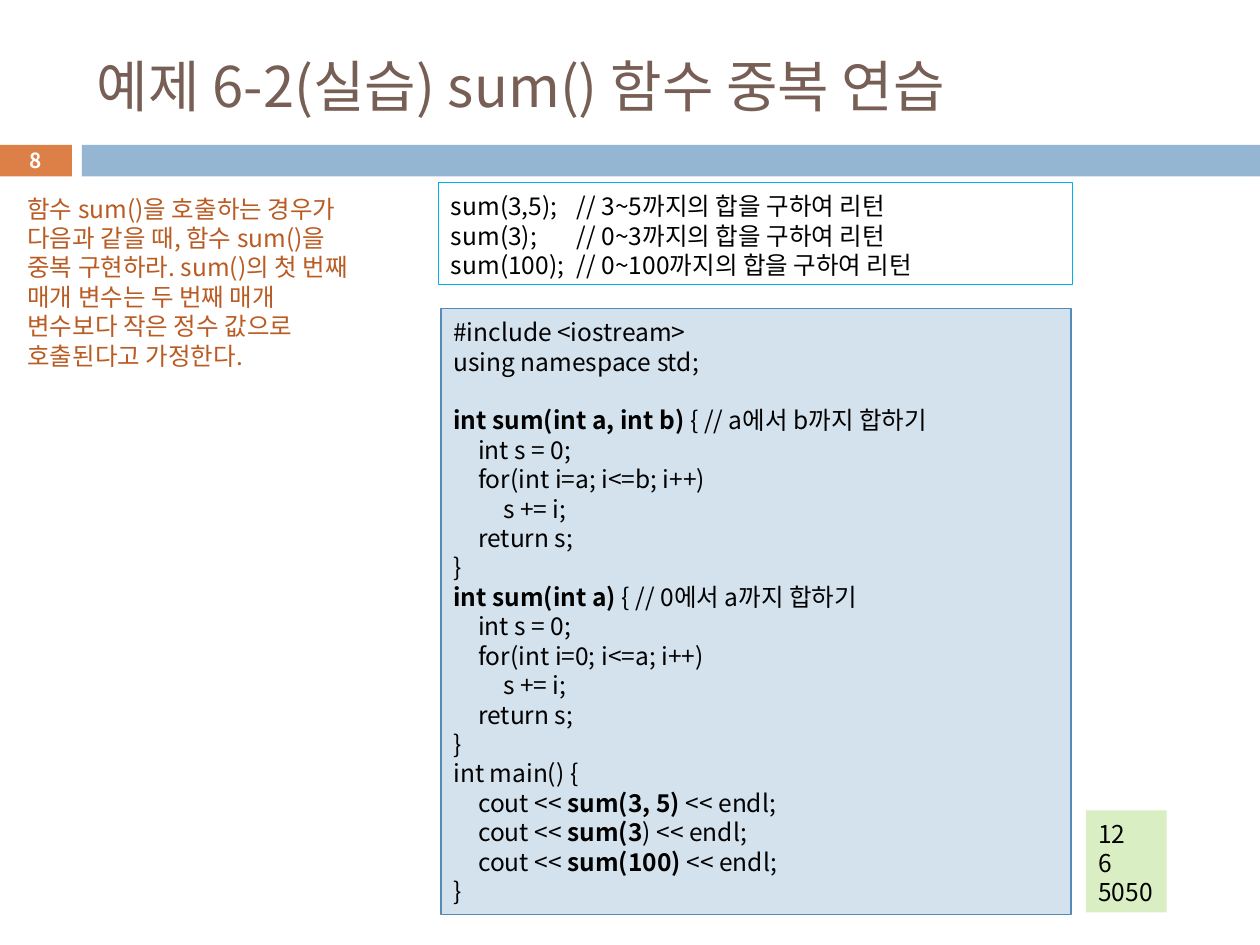
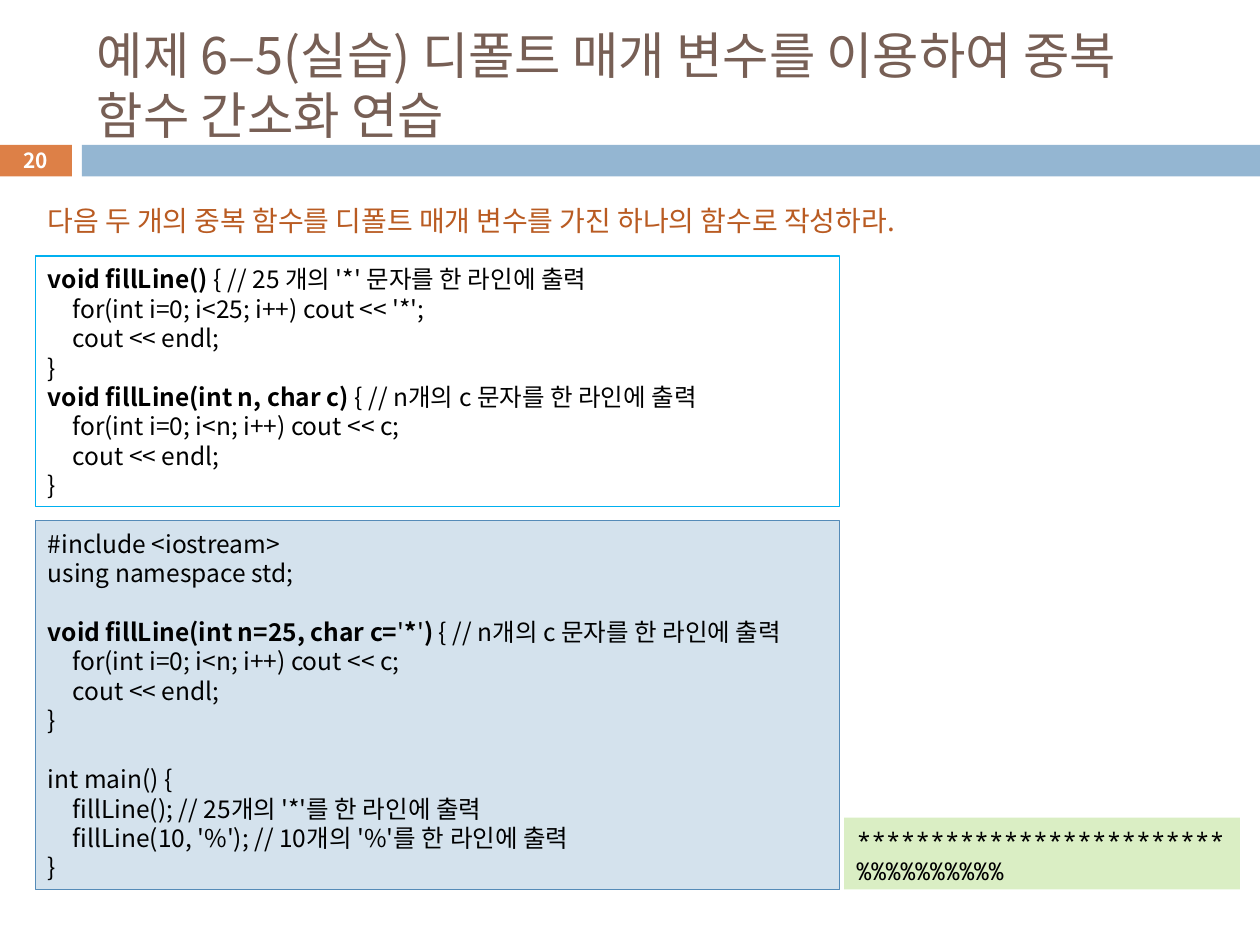
"""Build two lecture slides on function overloading and default parameters in C++."""
from dataclasses import dataclass
from typing import NamedTuple, Optional

from lxml import etree
from pptx import Presentation
from pptx.dml.color import RGBColor
from pptx.enum.shapes import MSO_SHAPE
from pptx.enum.text import MSO_ANCHOR, MSO_AUTO_SIZE, PP_ALIGN
from pptx.oxml.ns import qn
from pptx.presentation import Presentation as Deck
from pptx.shapes.base import BaseShape
from pptx.slide import Slide
from pptx.text.text import TextFrame
from pptx.util import Pt


@dataclass(frozen=True)
class Theme:
    """Colours, fonts and type sizes shared by the slides."""
    title: str = "775F55"
    accent: str = "DD8047"
    band: str = "94B6D2"
    white: str = "FFFFFF"
    black: str = "000000"
    prompt: str = "B95B22"
    question_line: str = "00B0F0"
    code_fill: str = "D4E2ED"
    code_line: str = "558BB8"
    output_fill: str = "DAEEC4"
    font: str = "Noto Sans CJK KR"
    mono: str = "Noto Sans Mono"
    title_size: float = 32
    long_title_size: float = 28.8
    prompt_size: float = 16
    body_size: float = 14
    number_size: float = 11.9
    line_pitch: float = 1.2
    line_width: float = 0.75


THEME = Theme()


class Box(NamedTuple):
    """Position and size in points."""
    left: float
    top: float
    width: float
    height: float


class PanelStyle(NamedTuple):
    """Fill, outline and text colour of a panel."""
    fill: Optional[str] = None
    line: Optional[str] = None
    color: str = THEME.black


@dataclass(frozen=True)
class Panel:
    """A box of text on a slide; backquotes enclose bold text."""
    box: Box
    style: PanelStyle
    text: str
    tabs: tuple[float, ...] = ()
    size: float = THEME.body_size
    font: str = THEME.font
    wrap: bool = True


@dataclass(frozen=True)
class Lesson:
    """The content of one slide."""
    number: int
    title: str
    title_size: float
    panels: tuple[Panel, ...]


QUESTION = PanelStyle(line=THEME.question_line)
CODE = PanelStyle(fill=THEME.code_fill, line=THEME.code_line)
OUTPUT = PanelStyle(fill=THEME.output_fill)
PROMPT = PanelStyle(color=THEME.prompt)

TITLE_BOX = Box(48.2, 18, 642.2, 53.3)
NUMBER_BOX = Box(-0.7, 81.4, 41.8, 19.4)
BANDS = ((Box(-0.7, 82.8, 41.8, 18), THEME.accent),
         (Box(46.8, 82.8, 673.2, 18), THEME.band))
CODE_TABS = (14.2, 28.4)
COMMENT_TABS = (72,)

SUM_CALLS = """sum(3,5); \t// 3~5까지의 합을 구하여 리턴
sum(3); \t// 0~3까지의 합을 구하여 리턴
sum(100); \t// 0~100까지의 합을 구하여 리턴"""

SUM_CODE = """#include <iostream>
using namespace std;

`int sum(int a, int b) `{ // a에서 b까지 합하기
\tint s = 0;
\tfor(int i=a; i<=b; i++)
\t\ts += i;
\treturn s;
}
`int sum(int a) `{ // 0에서 a까지 합하기
\tint s = 0;
\tfor(int i=0; i<=a; i++)
\t\ts += i;
\treturn s;
}
int main() {
\tcout << `sum(3, 5) `<< endl;
\tcout << `sum(3`) << endl;
\tcout << `sum(100) `<< endl;
}"""

SUM_PROMPT = """함수 sum()을 호출하는 경우가
다음과 같을 때, 함수 sum()을
중복 구현하라. sum()의 첫 번째
매개 변수는 두 번째 매개
변수보다 작은 정수 값으로
호출된다고 가정한다."""

FILL_LINE_PAIR = """`void fillLine() `{ // 25 개의 '*' 문자를 한 라인에 출력
\tfor(int i=0; i<25; i++) cout << '*';
\tcout << endl;
}
`void fillLine(int n, char c) `{ // n개의 c 문자를 한 라인에 출력
\tfor(int i=0; i<n; i++) cout << c;
\tcout << endl;
}"""

FILL_LINE_CODE = """#include <iostream>
using namespace std;

`void fillLine(int n=25, char c=`'`*`'`) `{ // n개의 c 문자를 한 라인에 출력
\tfor(int i=0; i<n; i++) cout << c;
\tcout << endl;
}

int main() {
\tfillLine(); // 25개의 '*'를 한 라인에 출력
\tfillLine(10, '%'); // 10개의 '%'를 한 라인에 출력
}"""

LESSONS = (
    Lesson(8, "예제 6-2(실습) sum() 함수 중복 연습", THEME.title_size, (
        Panel(Box(250.6, 104.4, 362.2, 58.3), QUESTION, SUM_CALLS, COMMENT_TABS),
        Panel(Box(252, 176.4, 360, 346.3), CODE, SUM_CODE, CODE_TABS),
        Panel(Box(620.6, 463, 46.1, 58.3), OUTPUT, "12\n6\n5050", wrap=False),
        Panel(Box(8.6, 105.8, 221, 108.7), PROMPT, SUM_PROMPT),
    )),
    Lesson(20, "예제 6–5(실습) 디폴트 매개 변수를 이용하여 중복 함수 간소화 연습",
           THEME.long_title_size, (
        Panel(Box(20.2, 146.2, 459.4, 143.3), QUESTION, FILL_LINE_PAIR, CODE_TABS),
        Panel(Box(20.2, 111.6, 674.6, 26.6), PROMPT,
              "다음 두 개의 중복 함수를 디폴트 매개 변수를 가진 하나의 함수로 작성하라.",
              size=THEME.prompt_size),
        Panel(Box(20.2, 297.4, 459.4, 211), CODE, FILL_LINE_CODE, CODE_TABS),
        Panel(Box(482.4, 467.3, 226.1, 41), OUTPUT, "*" * 25 + "\n" + "%" * 10,
              font=THEME.mono, wrap=False),
    )),
)


def write_text(frame: TextFrame, text: str, *, size: float = THEME.body_size,
               color: str = THEME.black, font: str = THEME.font, bold: bool = False,
               align: PP_ALIGN = PP_ALIGN.LEFT, anchor: MSO_ANCHOR = MSO_ANCHOR.TOP,
               wrap: bool = True, tabs: tuple[float, ...] = (),
               top_inset: float = 4.8) -> None:
    """Write lines with bold parts in backquotes; an empty line becomes space before the next."""
    frame.auto_size = MSO_AUTO_SIZE.NONE
    frame.word_wrap = wrap
    frame.vertical_anchor = anchor
    frame.margin_left = frame.margin_right = Pt(7.2)
    frame.margin_top, frame.margin_bottom = Pt(top_inset), Pt(3.6)
    pitch = Pt(size * THEME.line_pitch)
    lines = text.split("\n")
    for index, line in enumerate(lines):
        if not line:
            continue
        paragraph = frame.add_paragraph() if index else frame.paragraphs[0]
        paragraph.alignment = align
        paragraph.line_spacing = pitch
        paragraph.space_before = pitch if index and not lines[index - 1] else Pt(0)
        if tabs:
            tab_list = etree.SubElement(paragraph._p.get_or_add_pPr(), qn("a:tabLst"))
            for position in tabs:
                etree.SubElement(tab_list, qn("a:tab"), pos=str(Pt(position)), algn="l")
        for part_index, part in enumerate(line.split("`")):
            if part:
                run = paragraph.add_run()
                run.text = part
                run.font.size = Pt(size)
                run.font.bold = bold or part_index % 2 == 1
                run.font.color.rgb = RGBColor.from_string(color)
                run.font.name = font
                etree.SubElement(run._r.get_or_add_rPr(), qn("a:ea"), typeface=font)


def place(shape: BaseShape, box: Box) -> None:
    """Move and size a shape."""
    shape.left, shape.top, shape.width, shape.height = map(Pt, box)


def add_rectangle(slide: Slide, box: Box, fill: Optional[str] = None,
                  line: Optional[str] = None) -> BaseShape:
    """Add a flat rectangle with optional fill and outline."""
    shape = slide.shapes.add_shape(MSO_SHAPE.RECTANGLE, *map(Pt, box))
    shape.shadow.inherit = False
    if fill:
        shape.fill.solid()
        shape.fill.fore_color.rgb = RGBColor.from_string(fill)
    else:
        shape.fill.background()
    if line:
        shape.line.color.rgb = RGBColor.from_string(line)
        shape.line.width = Pt(THEME.line_width)
    else:
        shape.line.fill.background()
    return shape


def add_panel(slide: Slide, panel: Panel) -> None:
    """Add a text box, or a rectangle when the style has a fill or an outline."""
    style = panel.style
    if style.fill or style.line:
        shape = add_rectangle(slide, panel.box, style.fill, style.line)
    else:
        shape = slide.shapes.add_textbox(*map(Pt, panel.box))
    write_text(shape.text_frame, panel.text, size=panel.size, color=style.color,
               font=panel.font, wrap=panel.wrap, tabs=panel.tabs)


def add_lesson(presentation: Deck, lesson: Lesson) -> None:
    """Add a slide with its bands, title, number and panels."""
    slide = presentation.slides.add_slide(presentation.slide_layouts[5])
    for box, color in BANDS:
        add_rectangle(slide, box, color)
    title = slide.shapes.title
    place(title, TITLE_BOX)
    write_text(title.text_frame, lesson.title, size=lesson.title_size, color=THEME.title,
               anchor=MSO_ANCHOR.MIDDLE, top_inset=11)
    number = slide.shapes.add_textbox(*map(Pt, NUMBER_BOX))
    write_text(number.text_frame, str(lesson.number), size=THEME.number_size,
               color=THEME.white, bold=True, align=PP_ALIGN.CENTER,
               anchor=MSO_ANCHOR.MIDDLE)
    for panel in lesson.panels:
        add_panel(slide, panel)


def main() -> None:
    """Build and save the presentation."""
    presentation = Presentation()
    presentation.slide_width, presentation.slide_height = Pt(720), Pt(540)
    for lesson in LESSONS:
        add_lesson(presentation, lesson)
    presentation.save("out.pptx")


if __name__ == "__main__":
    main()
